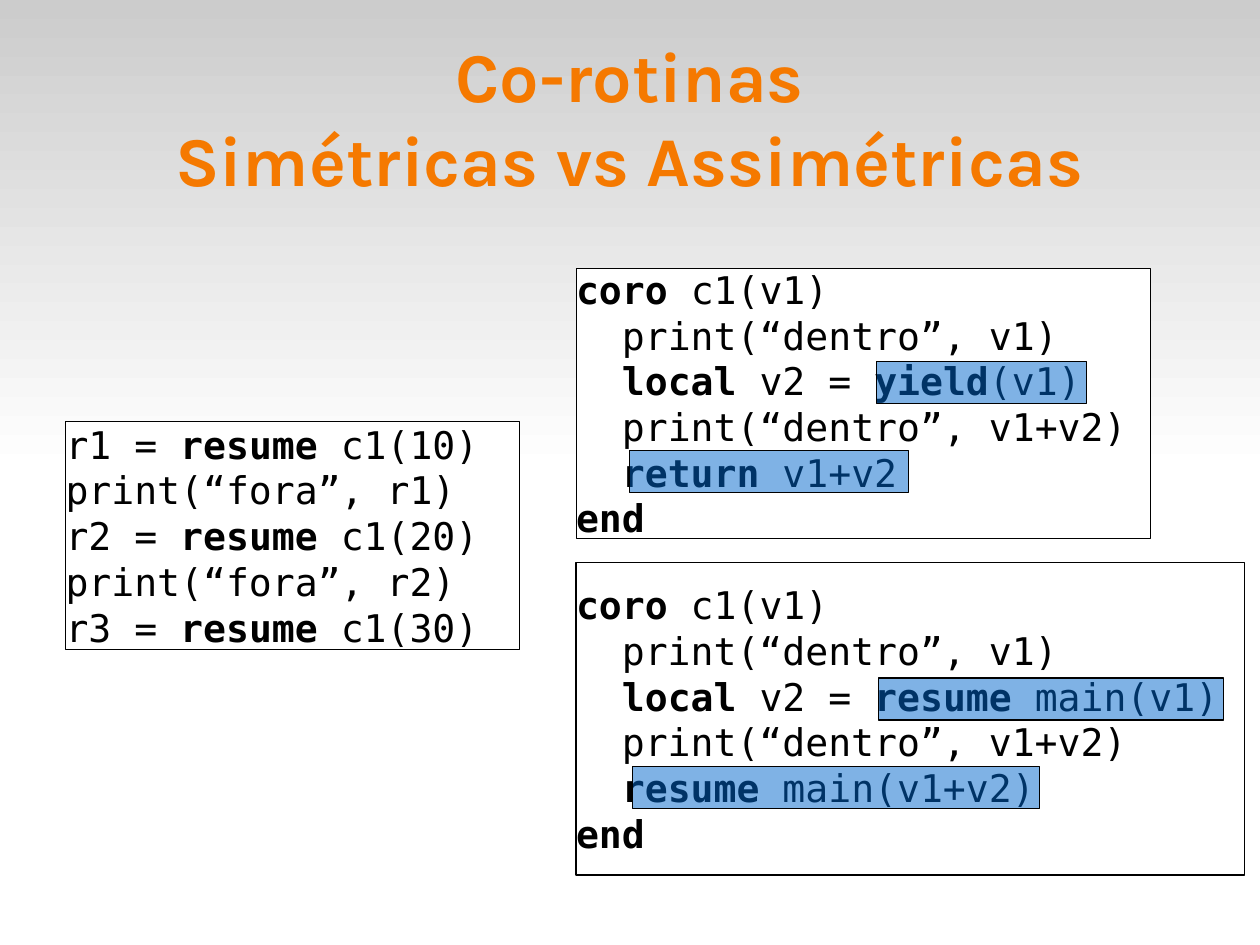
from pptx import Presentation
from pptx.dml.color import RGBColor
from pptx.enum.shapes import MSO_SHAPE as Shape
from pptx.enum.text import MSO_ANCHOR as Anchor, PP_ALIGN as Align
from pptx.util import Pt
from lxml.etree import SubElement
from pptx.oxml.ns import qn

WIDTH, HEIGHT = 793.7, 595.28
TITLE = "Co-rotinas\vSimétricas vs Assimétricas"
TITLE_BOX = (39.6, 22.1, 714.3, 103)
BAND_COLORS = ("CCCCCC", "FFFFFF")
TITLE_FORMAT = {"name": "Karla", "size": Pt(44), "bold": True}
CODE_FORMAT = {"name": "DejaVu Sans Mono", "size": Pt(24)}
FRAME_FORMAT = {
    "margin_left": 0, "margin_top": 0, "margin_right": 0, "margin_bottom": 0,
    "word_wrap": True, "vertical_anchor": Anchor.MIDDLE,
}

CODE_BOXES = [
    ((362.9, 169.2, 362, 169.9), [
        "*coro *c1(v1)",
        "  print(“dentro”, v1)",
        "  *local *v2 = *yield*(v1)",
        "  print(“dentro”, v1+v2)",
        "  *return* v1+v2",
        "*end*",
    ]),
    ((41.3, 265.5, 285.8, 143.6), [
        "r1 = *resume *c1(10)",
        "print(“fora”, r1)",
        "r2 = *resume *c1(20)",
        "print(“fora”, r2)",
        "r3 = *resume *c1(30)",
    ]),
    ((362.9, 354.2, 421, 197), [
        "*coro *c1(v1)",
        "  print(“dentro”, v1)",
        "  *local *v2 = *resume *main(v1)",
        "  print(“dentro”, v1+v2)",
        "  *resume *main(v1+v2)",
        "*end*",
    ]),
]
HIGHLIGHT_HEIGHT = 26.5
HIGHLIGHTS = [
    (552.2, 227.7, 132.3),
    (396.3, 283.6, 176.2),
    (553.5, 427.1, 217.4),
    (398.6, 482.8, 256.3),
]


def color(value):
    return RGBColor.from_string(value)


def apply(target, values):
    for name, value in values.items():
        setattr(target, name, value)


def add_box(slide, box, fill):
    shape = slide.shapes.add_shape(Shape.RECTANGLE, *map(Pt, box))
    shape.shadow.inherit = False
    shape.fill.solid()
    shape.fill.fore_color.rgb = color(fill)
    shape.line.color.rgb = color("000000")
    shape.line.width = Pt(0)
    return shape


def add_band(slide):
    band = add_box(slide, (0, 0, WIDTH, HEIGHT / 2), "FFFFFF")
    band.line.fill.background()
    band.fill.gradient()
    band.fill.gradient_angle = 270
    for stop, position, value in zip(band.fill.gradient_stops, (0, 1), BAND_COLORS):
        stop.position = position
        stop.color.rgb = color(value)
    slide.shapes._spTree.insert(2, band._element)


def format_title(title):
    for name, value in zip(("left", "top", "width", "height"), TITLE_BOX):
        setattr(title, name, Pt(value))
    apply(title.text_frame, FRAME_FORMAT)
    paragraph = title.text_frame.paragraphs[0]
    paragraph.text = TITLE
    paragraph.alignment = Align.CENTER
    for run in paragraph.runs:
        apply(run.font, TITLE_FORMAT)
        run.font.color.rgb = color("F57900")


def add_code(slide, box, lines):
    frame = add_box(slide, box, "FFFFFF").text_frame
    apply(frame, FRAME_FORMAT)
    for index, line in enumerate(lines):
        paragraph = frame.add_paragraph() if index else frame.paragraphs[0]
        paragraph.alignment = Align.LEFT
        for part, text in enumerate(line.split("*")):
            if text:
                run = paragraph.add_run()
                run.text = text
                apply(run.font, CODE_FORMAT)
                run.font.bold = part % 2 == 1
                run.font.color.rgb = color("000000")


def add_highlight(slide, left, top, width):
    shape = add_box(slide, (left, top, width, HIGHLIGHT_HEIGHT), "0066CC")
    tint = shape._element.spPr.find(qn("a:solidFill"))[0]
    SubElement(tint, qn("a:alpha"), val="50000")


def main():
    presentation = Presentation()
    presentation.slide_width, presentation.slide_height = Pt(WIDTH), Pt(HEIGHT)
    slide = presentation.slides.add_slide(presentation.slide_layouts[5])
    add_band(slide)
    format_title(slide.shapes.title)
    for box, lines in CODE_BOXES:
        add_code(slide, box, lines)
    for highlight in HIGHLIGHTS:
        add_highlight(slide, *highlight)
    presentation.save("out.pptx")


if __name__ == "__main__":
    main()
